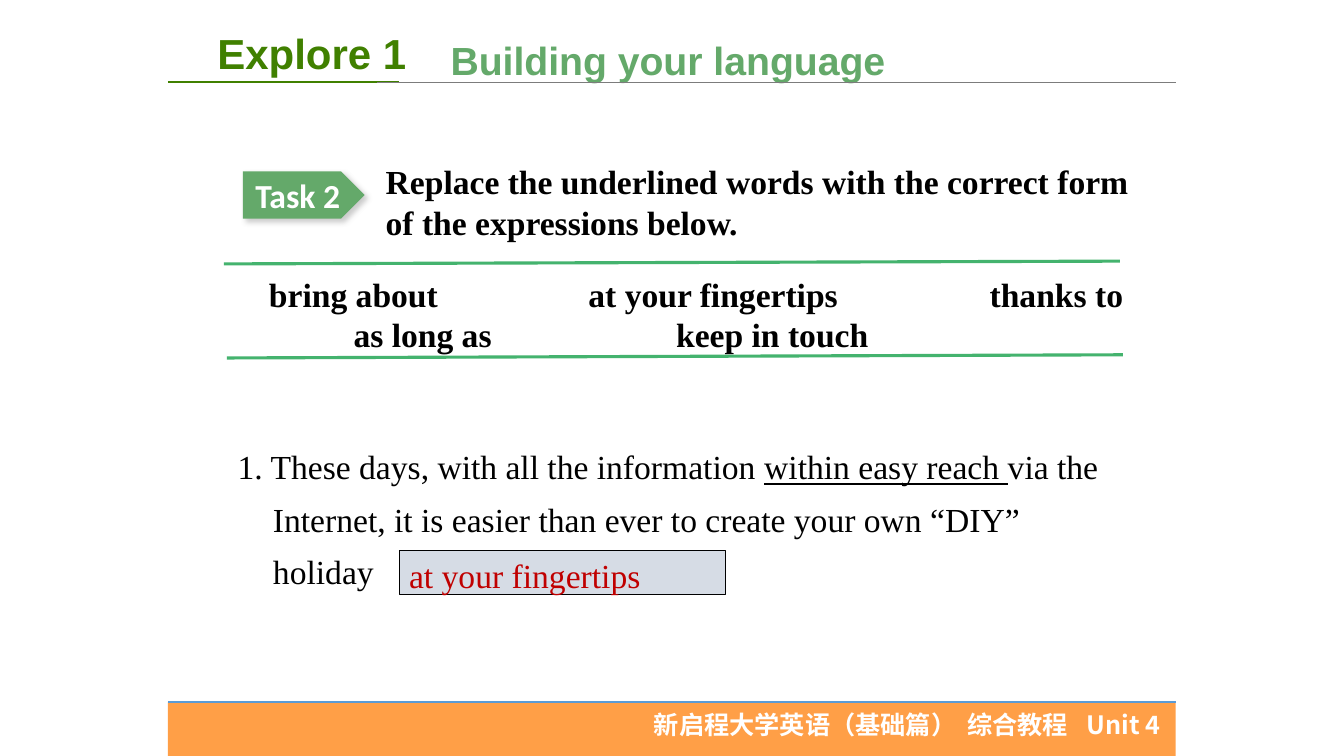
from dataclasses import dataclass

from lxml import etree
from pptx import Presentation
from pptx.dml.color import RGBColor
from pptx.enum.shapes import MSO_CONNECTOR, MSO_SHAPE
from pptx.enum.text import MSO_ANCHOR, MSO_AUTO_SIZE, PP_ALIGN
from pptx.oxml.ns import qn
from pptx.util import Cm, Pt

STRAIGHT = MSO_CONNECTOR.STRAIGHT
RECTANGLE, PENTAGON = MSO_SHAPE.RECTANGLE, MSO_SHAPE.PENTAGON
TOP, MIDDLE = MSO_ANCHOR.TOP, MSO_ANCHOR.MIDDLE
LEFT, CENTER = PP_ALIGN.LEFT, PP_ALIGN.CENTER
NO_AUTOFIT = MSO_AUTO_SIZE.NONE


@dataclass(frozen=True)
class Theme:
    orange: str = "FF9F47"
    blue: str = "5B9BD5"
    dark_green: str = "408000"
    green: str = "64A96A"
    rule_green: str = "44B36E"
    gray: str = "7C7C7C"
    pale: str = "D6DCE5"
    red: str = "C00000"
    black: str = "000000"
    white: str = "FFFFFF"
    heading: str = "Arial"
    label: str = "Calibri"
    body: str = "Times New Roman"
    chinese: str = "Noto Sans CJK SC"
    section_size: int = 30
    title_size: int = 28
    body_size: int = 24
    footer_size: int = 18


theme = Theme()


def write(box, lines, font, size, color, bold=False, align=LEFT, anchor=TOP):
    """Fill the box with one paragraph per line, all in one style."""
    frame = box.text_frame
    frame.word_wrap = True
    frame.auto_size = NO_AUTOFIT
    frame.vertical_anchor = anchor
    frame.text = "\n".join(lines)
    for para in frame.paragraphs:
        para.alignment = align
        for span in para.runs:
            span.font.name = font
            span.font.size = Pt(size)
            span.font.bold = bold
            span.font.color.rgb = RGBColor.from_string(color)
    return frame.paragraphs


def set_tabs(para, stops):
    tab_list = etree.SubElement(para._p.get_or_add_pPr(), qn("a:tabLst"))
    for stop in stops:
        etree.SubElement(tab_list, qn("a:tab"), pos=str(Cm(stop)), algn="l")


deck = Presentation()
deck.slide_width, deck.slide_height = Cm(33.87), Cm(19.05)
page = deck.slides.add_slide(deck.slide_layouts[5])
shapes = page.shapes

# Title and section name
title = shapes.title
title.left, title.top, title.width, title.height = Cm(11.1), Cm(0.79), Cm(12.24), Cm(1.45)
write(title, ["Building your language"], theme.heading, theme.title_size, theme.green, bold=True)
section = shapes.add_textbox(Cm(5.23), Cm(0.56), Cm(5.28), Cm(1.52))
write(section, ["Explore 1"], theme.heading, theme.section_size, theme.dark_green, bold=True)
section.text_frame.word_wrap = False

# Filled shapes
bar = shapes.add_shape(RECTANGLE, Cm(4.23), Cm(17.7), Cm(25.4), Cm(1.35))
task = shapes.add_shape(PENTAGON, Cm(6.12), Cm(4.32), Cm(3.07), Cm(1.19))
for shape, fill in ((bar, theme.orange), (task, theme.green)):
    shape.shadow.inherit = False
    shape.fill.solid()
    shape.fill.fore_color.rgb = RGBColor.from_string(fill)
    shape.line.fill.background()

write(task, ["Task 2"], theme.label, theme.body_size, theme.white, bold=True,
      align=CENTER, anchor=MIDDLE)
shadow = etree.SubElement(task._element.spPr.find(qn("a:effectLst")), qn("a:outerShdw"),
                          blurRad=str(Pt(4)), dist=str(Pt(3)), dir="2700000",
                          algn="tl", rotWithShape="0")
shadow_color = etree.SubElement(shadow, qn("a:srgbClr"), val="808080")
etree.SubElement(shadow_color, qn("a:alpha"), val="40000")

# Rules: start, end, colour, weight in points
rules = [
    ((4.23, 17.7), (29.63, 17.7), theme.blue, 1.5),
    ((4.23, 2.06), (10.06, 2.06), theme.dark_green, 1.5),
    ((9.5, 2.06), (29.63, 2.06), theme.gray, 0.25),
    ((5.64, 6.65), (28.22, 6.58), theme.rule_green, 2.25),
    ((5.72, 9.02), (28.3, 8.94), theme.rule_green, 2.25),
]
for start, end, color, weight in rules:
    rule = shapes.add_connector(STRAIGHT, *map(Cm, start + end))
    rule.line.color.rgb = RGBColor.from_string(color)
    rule.line.width = Pt(weight)
    etree.SubElement(rule._element.spPr, qn("a:effectLst"))

# Footer
footer = shapes.add_textbox(Cm(16.23), Cm(17.75), Cm(13.39), Cm(1.02))
footer_line = write(footer, ["新启程大学英语（基础篇）\t综合教程\tUnit 4"],
                    theme.chinese, theme.footer_size, theme.white, bold=True)[0]
set_tabs(footer_line, (7.9, 10.9))
for span in footer_line.runs:
    etree.SubElement(span.font._element, qn("a:ea"), typeface=theme.chinese)

# Instruction and expressions
instruction = shapes.add_textbox(Cm(9.47), Cm(3.94), Cm(19.69), Cm(2.31))
write(instruction, ["Replace the underlined words with the correct form of the expressions below."],
      theme.body, theme.body_size, theme.black, bold=True)

expressions = shapes.add_textbox(Cm(6.53), Cm(6.78), Cm(22.73), Cm(2.31))
expression_lines = write(
    expressions,
    ["bring about\tat your fingertips\tthanks to", "\tas long as\tkeep in touch"],
    theme.body, theme.body_size, theme.black, bold=True)
for para, stops in zip(expression_lines, ((8.05, 18.16), (2.13, 10.26))):
    set_tabs(para, stops)

# Exercise sentence
sentence = shapes.add_textbox(Cm(5.74), Cm(10.82), Cm(22.43), Cm(4.24))
para = write(sentence, ["1. These days, with all the information "],
             theme.body, theme.body_size, theme.black)[0]
para.line_spacing = 1.3
properties = para._p.get_or_add_pPr()
properties.set("marL", str(Cm(0.89)))
properties.set("indent", str(Cm(-0.89)))
for text, underlined in (
    ("within easy reach ", True),
    ("via the Internet, it is easier than ever to create your own “DIY” holiday", False),
):
    span = para.add_run()
    span.text = text
    span.font.name = theme.body
    span.font.size = Pt(theme.body_size)
    span.font.color.rgb = RGBColor.from_string(theme.black)
    span.font.underline = underlined

# Answer
answer = shapes.add_shape(RECTANGLE, Cm(10.06), Cm(13.87), Cm(8.23), Cm(1.12))
answer.shadow.inherit = False
answer.fill.solid()
answer.fill.fore_color.rgb = RGBColor.from_string(theme.pale)
answer.line.color.rgb = RGBColor.from_string(theme.black)
answer.line.width = Pt(0.75)
write(answer, ["at your fingertips"], theme.body, theme.body_size, theme.red)

deck.save("out.pptx")
